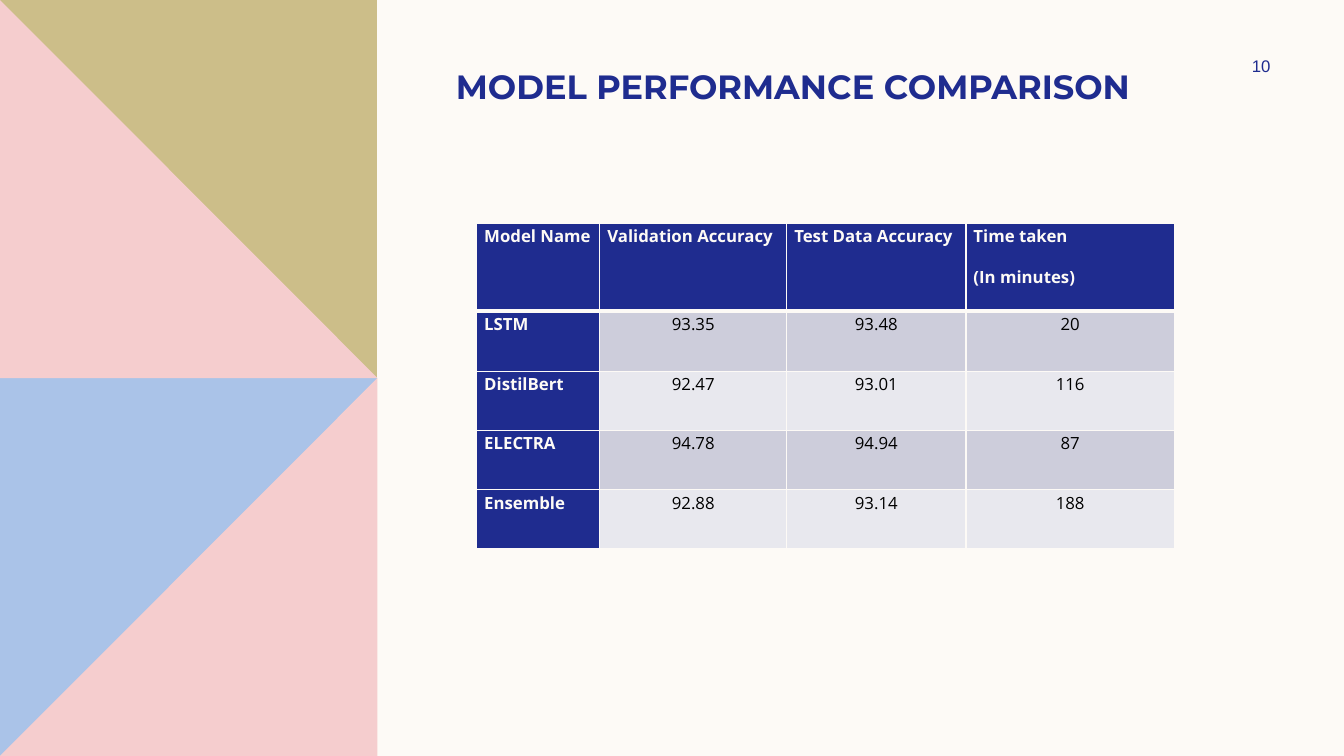
from lxml import etree
from pptx import Presentation
from pptx.dml.color import RGBColor
from pptx.enum.text import MSO_ANCHOR, PP_ALIGN
from pptx.oxml.ns import qn
from pptx.util import Pt

TOP, MIDDLE = MSO_ANCHOR.TOP, MSO_ANCHOR.MIDDLE
LEFT, CENTER, JUSTIFY = PP_ALIGN.LEFT, PP_ALIGN.CENTER, PP_ALIGN.JUSTIFY

COLORS = {
    "cream": "FDFAF6", "navy": "1F2C8F", "pink": "F5CDCE", "olive": "CCBE89",
    "blue": "AAC3E8", "dark_band": "CDCDDB", "light_band": "E8E8EE", "black": "000000",
}
COLUMN_WIDTHS = [88, 133.5, 128, 149]
ROW_HEIGHTS = [62.8, 43, 42.3, 42.3, 42.3]
RESULTS = [
    ["Model Name", "Validation Accuracy", "Test Data Accuracy", "Time taken\n(In minutes)"],
    ["LSTM", "93.35", "93.48", "20"],
    ["DistilBert", "92.47", "93.01", "116"],
    ["ELECTRA", "94.78", "94.94", "87"],
    ["Ensemble", "92.88", "93.14", "188"],
]


def paint(fill, color):
    """Give a fill one solid colour from the palette."""
    fill.solid()
    fill.fore_color.rgb = RGBColor.from_string(COLORS[color])


def add_span(para, text, font, size, color, bold=False):
    """Add one formatted run to a paragraph."""
    span = para.add_run()
    span.text = text
    span.font.name = font
    span.font.size = Pt(size)
    span.font.bold = bold
    span.font.color.rgb = RGBColor.from_string(COLORS[color])


def add_label(page, box, text, font, size, bold, align, anchor):
    """Write one navy line of text in the given box."""
    frame = page.shapes.add_textbox(*map(Pt, box)).text_frame
    frame.word_wrap = True
    frame.vertical_anchor = anchor
    para = frame.paragraphs[0]
    para.alignment = align
    add_span(para, text, font, size, "navy", bold)


def add_polygon(page, corners, color):
    """Draw a flat closed outline through the corners."""
    points = [(Pt(x), Pt(y)) for x, y in corners]
    builder = page.shapes.build_freeform(*points[0])
    builder.add_line_segments(points[1:], close=True)
    shape = builder.convert_to_shape()
    shape.shadow.inherit = False
    shape.line.fill.background()
    paint(shape.fill, color)


def add_side_panel(page, box):
    """Fill the box with two squares, each cut by a diagonal."""
    left, top, width, height = box
    right, bottom, middle = left + width, top + height, top + height / 2
    add_polygon(page, [(left, middle), (right, middle), (right, bottom), (left, bottom)], "blue")
    add_polygon(page, [(right, middle), (right, bottom), (left, bottom)], "pink")
    add_polygon(page, [(left, top), (right, top), (right, middle), (left, middle)], "olive")
    add_polygon(page, [(left, top), (right, middle), (left, middle)], "pink")


def set_borders(cell, top, bottom):
    """Outline a cell in cream with the given top and bottom widths."""
    properties = cell._tc.get_or_add_tcPr()
    widths = {"a:lnL": 1, "a:lnR": 1, "a:lnT": top, "a:lnB": bottom}
    for index, (side, width) in enumerate(widths.items()):
        line = etree.Element(qn(side), w=str(Pt(width)))
        solid = etree.SubElement(line, qn("a:solidFill"))
        etree.SubElement(solid, qn("a:srgbClr"), val=COLORS["cream"])
        properties.insert(index, line)


def fill_cell(cell, text, row, column):
    """Write and style one cell by its place in the table."""
    heading = row == 0 or column == 0
    align = LEFT if row == 0 else JUSTIFY if column == 0 else CENTER
    band = "dark_band" if row % 2 else "light_band"
    cell.margin_left = cell.margin_right = Pt(5.4)
    cell.margin_top = cell.margin_bottom = 0
    cell.vertical_anchor = TOP
    paint(cell.fill, "navy" if heading else band)
    set_borders(cell, 3 if row == 1 else 1, 3 if row == 0 else 1)
    frame = cell.text_frame
    for index, line in enumerate(text.split("\n")):
        para = frame.add_paragraph() if index else frame.paragraphs[0]
        para.alignment = align
        para.line_spacing = 1.07
        para.space_after = Pt(12)
        add_span(para, line, "Open Sans", 12, "cream" if heading else "black", heading)


def add_results_table(page, left, top):
    """Place the model comparison table at the given corner."""
    frame = page.shapes.add_table(
        len(RESULTS), len(COLUMN_WIDTHS), Pt(left), Pt(top),
        Pt(sum(COLUMN_WIDTHS)), Pt(sum(ROW_HEIGHTS)))
    table = frame.table
    table.first_col = True
    for column, width in zip(table.columns, COLUMN_WIDTHS):
        column.width = Pt(width)
    for row, height in zip(table.rows, ROW_HEIGHTS):
        row.height = Pt(height)
    for row, texts in enumerate(RESULTS):
        for column, text in enumerate(texts):
            fill_cell(table.cell(row, column), text, row, column)


def main():
    """Build the slide and save the deck."""
    deck = Presentation()
    deck.slide_width, deck.slide_height = Pt(960), Pt(540)
    page = deck.slides.add_slide(deck.slide_layouts[6])
    paint(page.background.fill, "cream")
    add_side_panel(page, (0, 0, 269.6, 540))
    add_label(page, (318.5, 43.2, 533, 60.5), "MODEL PERFORMANCE COMPARISON",
              "Montserrat", 24, True, LEFT, TOP)
    add_label(page, (862, 36, 77.8, 21.6), "10", "Arial", 12, False, CENTER, MIDDLE)
    add_results_table(page, 340.5, 159.3)
    deck.save("out.pptx")


if __name__ == "__main__":
    main()
